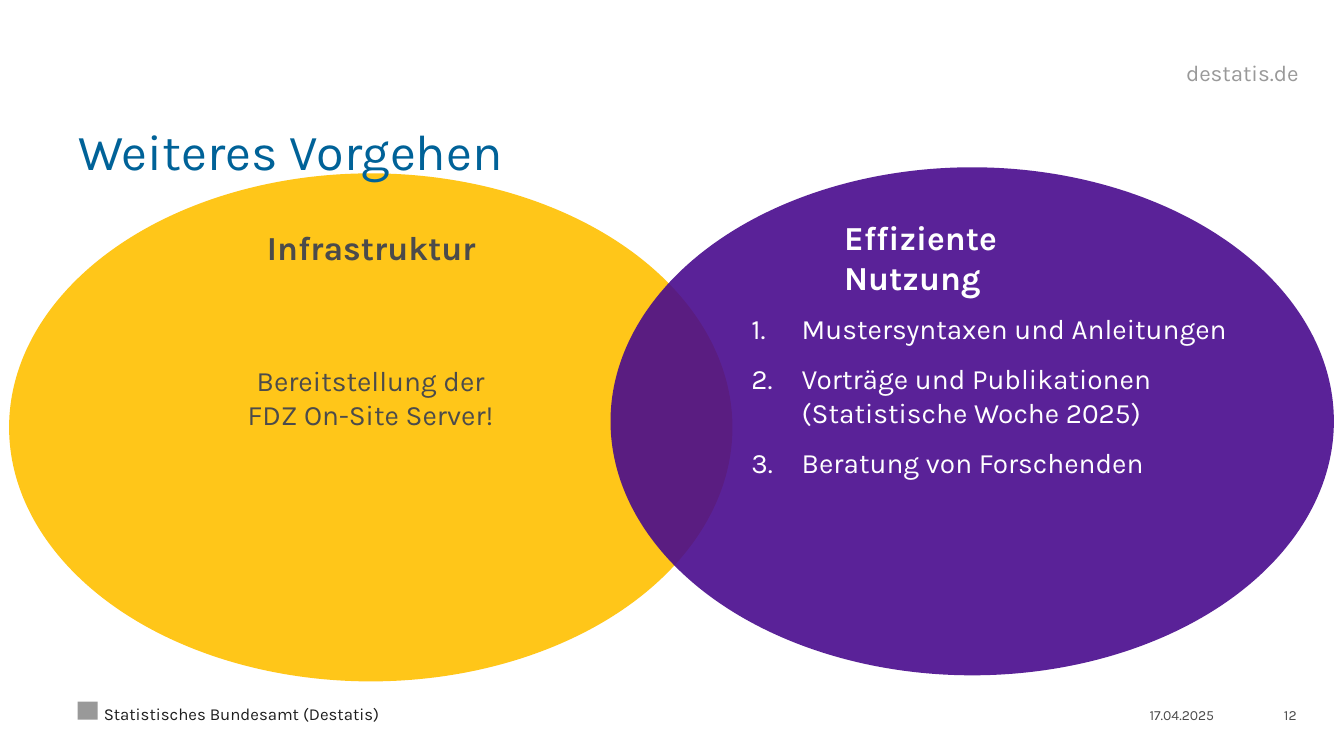
from dataclasses import dataclass

from lxml.etree import SubElement
from pptx import Presentation
from pptx.dml.color import RGBColor
from pptx.enum.shapes import MSO_SHAPE as Preset
from pptx.enum.text import MSO_ANCHOR as Anchor, PP_ALIGN as Align
from pptx.oxml.ns import qn
from pptx.util import Inches, Pt

FONT = "Karla"
COLORS = {
    "yellow": "FFC000",
    "purple": "490B8D",
    "blue": "006298",
    "dark": "4B4B4B",
    "black": "1E1E1E",
    "gray": "999999",
    "white": "FFFFFF",
}
PADDING = (0.1, 0.05, 0.1, 0.05)
NO_PADDING = (0, 0, 0, 0)


@dataclass(frozen=True)
class Figure:
    preset: Preset
    box: tuple[float, float, float, float]
    color: str
    opacity: int = 100


@dataclass(frozen=True)
class Label:
    paragraphs: tuple[str, ...]
    box: tuple[float, float, float, float]
    size: int
    color: str
    align: Align = Align.LEFT
    anchor: Anchor = Anchor.TOP
    padding: tuple[float, float, float, float] = PADDING
    bold: bool = False
    numbered: bool = False
    line_spacing: float = 1.0
    gap: int = 0


FIGURES = [
    # Plain mark in the footer
    Figure(Preset.RECTANGLE, (0.77, 6.96, 0.2, 0.18), "gray"),
    # Overlapping ellipses
    Figure(Preset.OVAL, (0.09, 1.72, 7.18, 5.04), "yellow", 90),
    Figure(Preset.OVAL, (6.06, 1.66, 7.18, 5.04), "purple", 90),
]

LABELS = [
    # Header
    Label(("destatis.de",), (11.19, 0.61, 1.7, 0.23), 16, "gray",
          Align.RIGHT, Anchor.MIDDLE, NO_PADDING),
    Label(("Weiteres Vorgehen",), (0.78, 1.22, 12.11, 0.66), 36, "blue",
          anchor=Anchor.MIDDLE, padding=(0, 0.08, 0, 0.08), line_spacing=0.8),
    # Footer
    Label(("17.04.2025",), (10.41, 6.89, 1.64, 0.29), 10, "dark",
          Align.RIGHT, Anchor.BOTTOM, NO_PADDING),
    Label(("Statistisches Bundesamt (Destatis)",), (1.03, 6.89, 9.29, 0.29),
          12, "black", anchor=Anchor.BOTTOM, padding=NO_PADDING),
    Label(("12",), (12.12, 6.89, 0.75, 0.29), 10, "dark",
          Align.RIGHT, Anchor.BOTTOM, NO_PADDING),
    # Left ellipse
    Label(("Infrastruktur",), (2.09, 2.2, 3.19, 0.5), 24, "dark",
          Align.CENTER, bold=True),
    Label(("Bereitstellung der FDZ On-Site Server!",),
          (2.31, 3.56, 2.74, 0.77), 20, "dark", Align.CENTER),
    # Right ellipse
    Label(("Effiziente Nutzung",), (8.28, 2.1, 3.02, 0.5), 24, "white",
          bold=True),
    Label(("Mustersyntaxen und Anleitungen",
           "Vorträge und Publikationen\n(Statistische Woche 2025)",
           "Beratung von Forschenden"),
          (7.36, 3.04, 4.96, 1.78), 20, "white", numbered=True, gap=12),
]


def rgb(name: str) -> RGBColor:
    return RGBColor.from_string(COLORS[name])


def draw_figure(slide, figure: Figure) -> None:
    shape = slide.shapes.add_shape(figure.preset, *map(Inches, figure.box))
    shape.shadow.inherit = False
    shape.line.fill.background()
    shape.fill.solid()
    shape.fill.fore_color.rgb = rgb(figure.color)
    if figure.opacity < 100:
        color = shape.fill._xPr.find(".//" + qn("a:srgbClr"))
        SubElement(color, qn("a:alpha"), val=str(figure.opacity * 1000))


def number_paragraph(paragraph) -> None:
    properties = paragraph._p.get_or_add_pPr()
    properties.set("marL", str(Inches(0.5)))
    properties.set("indent", str(Inches(-0.5)))
    SubElement(properties, qn("a:buFont"), typeface="+mj-lt")
    SubElement(properties, qn("a:buAutoNum"), type="arabicPeriod")


def draw_label(slide, label: Label) -> None:
    frame = slide.shapes.add_textbox(*map(Inches, label.box)).text_frame
    frame.word_wrap = True
    frame.vertical_anchor = label.anchor
    (frame.margin_left, frame.margin_top,
     frame.margin_right, frame.margin_bottom) = map(Inches, label.padding)
    for index, text in enumerate(label.paragraphs):
        paragraph = frame.add_paragraph() if index else frame.paragraphs[0]
        paragraph.alignment = label.align
        paragraph.line_spacing = label.line_spacing
        if index:
            paragraph.space_before = Pt(label.gap)
        if label.numbered:
            number_paragraph(paragraph)
        for line_index, line in enumerate(text.split("\n")):
            if line_index:
                paragraph.add_line_break()
            run = paragraph.add_run()
            run.text = line
            run.font.name = FONT
            run.font.size = Pt(label.size)
            run.font.bold = label.bold
            run.font.color.rgb = rgb(label.color)


def main() -> None:
    presentation = Presentation()
    presentation.slide_width = Inches(13.34)
    presentation.slide_height = Inches(7.5)
    slide = presentation.slides.add_slide(presentation.slide_layouts[6])
    for figure in FIGURES:
        draw_figure(slide, figure)
    for label in LABELS:
        draw_label(slide, label)
    presentation.save("out.pptx")


if __name__ == "__main__":
    main()
